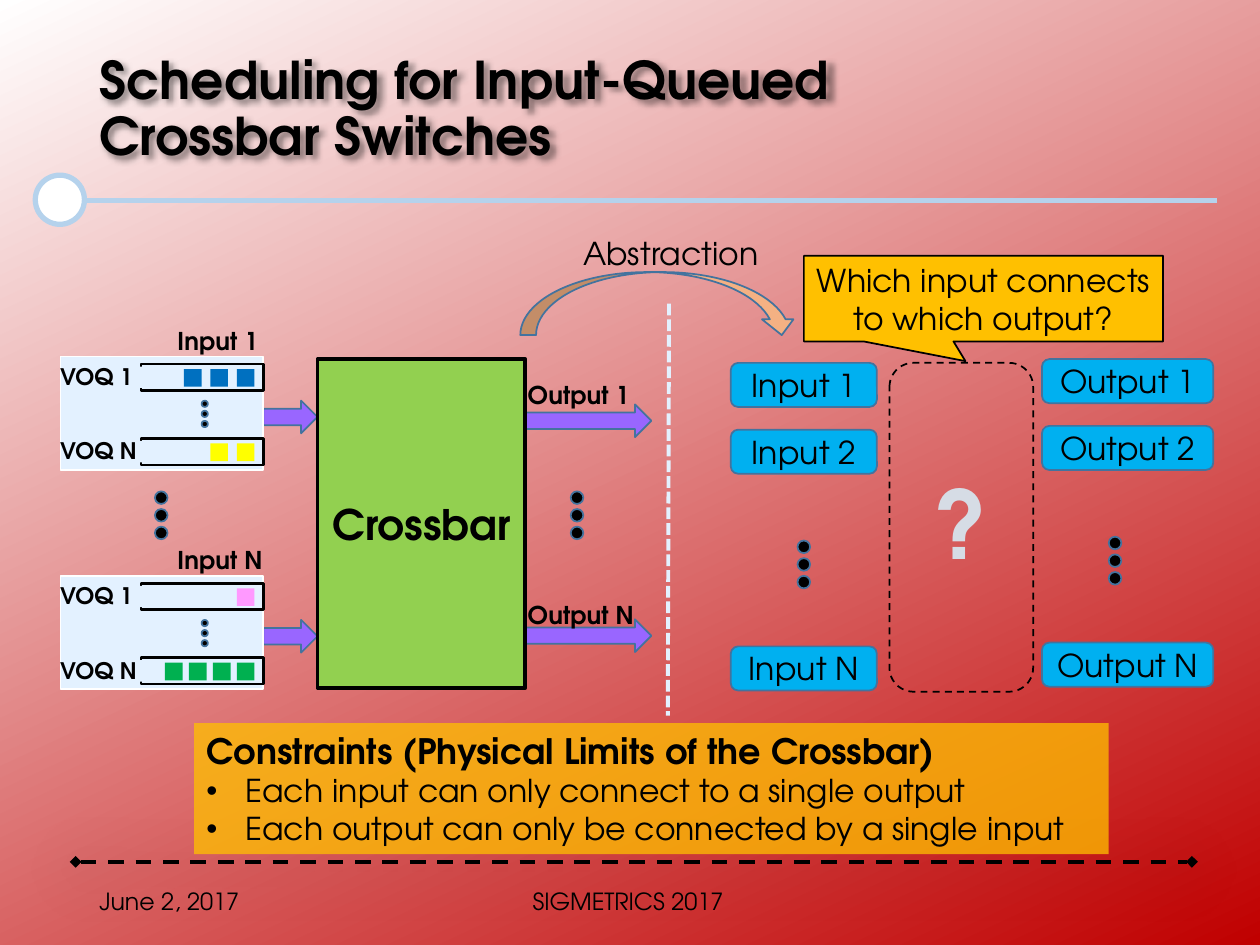
from lxml import etree
from pptx import Presentation
from pptx import util as u
from pptx.dml.color import RGBColor
from pptx.enum import dml, shapes, text
from pptx.oxml.ns import qn

FONT = "TeX Gyre Adventor"
SHAPE = shapes.MSO_SHAPE
ALIGN = text.PP_ALIGN
MIDDLE = text.MSO_ANCHOR.MIDDLE
BLUE_EDGE = "43739E"
PALE = "E3F1FF"
PURPLE = "9966FF"


def color(value):
    return RGBColor.from_string(value)


def apply(target, values):
    for name, value in values.items():
        setattr(target, name, value)


def child(parent, tag, **attributes):
    return etree.SubElement(parent, qn(tag), attributes)


def add_shadow(properties, blur, distance, angle, alpha):
    effects = child(properties, "a:effectLst")
    shadow = child(effects, "a:outerShdw", blurRad=str(u.Pt(blur)), dist=str(u.Pt(distance)),
                   dir=str(angle * 60000), algn="tl", rotWithShape="0")
    black = child(shadow, "a:srgbClr", val="000000")
    child(black, "a:alpha", val=str(alpha * 1000))


def write(paragraph, words, size, bold=False, align=ALIGN.LEFT):
    paragraph.alignment = align
    run = paragraph.add_run()
    run.text = words
    apply(run.font, {"name": FONT, "size": u.Pt(size), "bold": bold})
    run.font.color.rgb = color("000000")
    return run


def add_shape(slide, kind, box, fill=None, edge=None, width=1):
    shape = slide.shapes.add_shape(kind, *map(u.Inches, box))
    shape.shadow.inherit = False
    if fill:
        shape.fill.solid()
        shape.fill.fore_color.rgb = color(fill)
    else:
        shape.fill.background()
    if edge:
        shape.line.color.rgb = color(edge)
        shape.line.width = u.Pt(width)
    else:
        shape.line.fill.background()
    return shape


def add_label(shape, words, size, bold=False):
    apply(shape.text_frame, {"word_wrap": True, "vertical_anchor": MIDDLE})
    write(shape.text_frame.paragraphs[0], words, size, bold, ALIGN.CENTER)


def add_text(slide, box, words, size, bold=False, align=ALIGN.LEFT, wrap=False,
             anchor=text.MSO_ANCHOR.TOP):
    shape = slide.shapes.add_textbox(*map(u.Inches, box))
    frame = shape.text_frame
    apply(frame, {"word_wrap": wrap, "vertical_anchor": anchor})
    if not wrap:
        frame.auto_size = text.MSO_AUTO_SIZE.SHAPE_TO_FIT_TEXT
    write(frame.paragraphs[0], words, size, bold, align)
    return shape


def add_line(slide, ends, stroke, width, dash=None):
    line = slide.shapes.add_connector(shapes.MSO_CONNECTOR.STRAIGHT, *map(u.Inches, ends))
    line.line.color.rgb = color(stroke)
    apply(line.line, {"width": u.Pt(width), "dash_style": dash})
    return line


def add_dots(slide, left, top, size=0.1, step=0.14):
    for index in range(3):
        add_shape(slide, SHAPE.OVAL, (left, top + index * step, size, size), "000000", BLUE_EDGE)


def add_background(slide):
    fill = slide.background.fill
    fill.gradient()
    fill.gradient_angle = 295
    for stop, value, position in zip(fill.gradient_stops, ("FFFFFF", "C00000"), (0, 1)):
        stop.color.rgb = color(value)
        stop.position = position


def add_header(slide, left, top, width):
    rule = add_line(slide, (left, top + 1.19, left + width, top + 1.19), "B5D2EC", 3)
    child(rule._element.spPr, "a:effectLst")
    add_shape(slide, SHAPE.OVAL, (left - 0.41, top + 0.99, 0.39, 0.39), "FFFFFF", "B5D2EC", 3)
    title = add_text(slide, (left, top, 7.86, 1.45),
                     "Scheduling for Input-Queued Crossbar Switches", 29.7, True,
                     wrap=True, anchor=MIDDLE)
    title.text_frame.margin_bottom = u.Inches(0.54)
    title.text_frame.paragraphs[0].line_spacing = 0.9
    add_shadow(title._element.spPr, 3, 3, 45, 43)


def add_footer(slide, left, top, width):
    rule = add_line(slide, (left, top, left + width, top), "000000", 2.25, dml.MSO_LINE.DASH)
    stroke = rule.line._get_or_add_ln()
    for tag in ("a:headEnd", "a:tailEnd"):
        child(stroke, tag, type="diamond")
    add_shadow(rule._element.spPr, 36, 4, 90, 43)
    add_text(slide, (left + 0.09, top + 0.11, 2.25, 0.4), "June 2, 2017", 13.5,
             wrap=True, anchor=MIDDLE)
    add_text(slide, (left + 1.81, top + 0.11, 5.15, 0.4), "SIGMETRICS 2017", 13.5,
             align=ALIGN.CENTER, wrap=True, anchor=MIDDLE)


def add_queue(slide, left, top, cell_color, count, step):
    add_shape(slide, SHAPE.RECTANGLE, (left, top, 0.97, 0.21), PALE, "000000", 1.5)
    add_shape(slide, SHAPE.RECTANGLE, (left - 0.01, top + 0.02, 0.17, 0.17), PALE)
    for index in range(count):
        cell = (left + 0.76 - index * step, top + 0.04, 0.14, 0.14)
        add_shape(slide, SHAPE.RECTANGLE, cell, cell_color)


def add_input_port(slide, left, top, name, queues):
    add_shape(slide, SHAPE.RIGHT_ARROW, (left + 1.61, top + 0.35, 0.43, 0.26), PURPLE, BLUE_EDGE)
    add_shape(slide, SHAPE.RECTANGLE, (left, top, 1.61, 0.9), PALE, "FFFFFF")
    for index, (label, queue) in enumerate(zip(("VOQ 1", "VOQ N"), queues)):
        row = top + index * 0.59
        add_queue(slide, left + 0.64, row + 0.06, *queue)
        add_text(slide, (left - 0.1, row, 0.86, 0.32), label, 13, True)
    add_dots(slide, left + 1.12, top + 0.35, 0.05, 0.08)
    add_text(slide, (left + 0.83, top - 0.29, 0.95, 0.34), name, 14, True)


def add_switch(slide, left, top):
    ports = (("1", 0, (("0070C0", 3, 0.21), ("FFFF00", 2, 0.21))),
             ("N", 1.74, (("FF99FF", 1, 0.21), ("00B050", 4, 0.19))))
    for suffix, offset, queues in ports:
        add_input_port(slide, left, top + offset, f"Input {suffix}", queues)
        add_shape(slide, SHAPE.RIGHT_ARROW, (left + 3.69, top + 0.38 + offset * 0.98, 1, 0.26),
                  PURPLE, BLUE_EDGE)
        add_text(slide, (left + 3.61, top + 0.14 + offset, 1.1, 0.34), f"Output {suffix}",
                 14, True)
    crossbar = add_shape(slide, SHAPE.RECTANGLE, (left + 2.04, top + 0.02, 1.65, 2.61),
                         "92D050", "000000", 2.25)
    add_label(crossbar, "Crossbar", 24, True)
    for offset in (0.75, 4.05):
        add_dots(slide, left + offset, top + 1.07)


def add_ports(slide, left, top, width, name):
    for suffix, offset in (("1", 0), ("2", 0.53), ("N", 2.25)):
        port = add_shape(slide, SHAPE.ROUNDED_RECTANGLE, (left, top + offset, width, 0.35),
                         "00B0F0", BLUE_EDGE)
        add_label(port, f"{name} {suffix}", 18)
    add_dots(slide, left + 0.53, top + 1.41)


def add_abstraction(slide, left, top):
    divider = add_line(slide, (left - 0.49, top - 0.47, left - 0.5, top + 2.8), PALE, 2.25,
                       dml.MSO_LINE.SQUARE_DOT)
    child(divider._element.spPr, "a:effectLst")
    add_ports(slide, left, top, 1.16, "Input")
    add_ports(slide, left + 2.47, top - 0.03, 1.36, "Output")
    unknown = add_shape(slide, SHAPE.ROUNDED_RECTANGLE, (left + 1.26, top, 1.14, 2.61),
                        edge="000000")
    unknown.line.dash_style = dml.MSO_LINE.DASH
    mark = add_text(slide, (left + 1.52, top + 0.76, 0.63, 1.01), "?", 54, True, ALIGN.CENTER)
    font = mark.text_frame.paragraphs[0].runs[0].font
    font.fill.patterned()
    font.fill.pattern = dml.MSO_PATTERN.DARK_UPWARD_DIAGONAL
    font.fill.fore_color.rgb = color("44546A")
    font.fill.back_color.rgb = color("D6DCE5")
    outline = child(font._element, "a:ln", w=str(u.Pt(1)))
    child(child(outline, "a:solidFill"), "a:srgbClr", val="333F50")
    font._element.insert(0, outline)
    callout = add_shape(slide, SHAPE.RECTANGULAR_CALLOUT, (left + 0.58, top - 0.85, 2.85, 0.68),
                        "FFC000", "000000")
    callout.adjustments[0], callout.adjustments[1] = -0.05, 0.73
    add_label(callout, "Which input connects to which output?", 18)
    add_shape(slide, SHAPE.CURVED_DOWN_ARROW, (left - 1.67, top - 0.72, 2.2, 0.5),
              "F4B183", BLUE_EDGE)
    add_text(slide, (left - 1.27, top - 1.07, 1.61, 0.4), "Abstraction", 18)


def add_constraints(slide, box):
    panel = add_shape(slide, SHAPE.RECTANGLE, box, "FFC000")
    child(panel.fill._xPr.find(qn("a:solidFill"))[0], "a:alpha", val="75000")
    frame = panel.text_frame
    apply(frame, {"word_wrap": True, "vertical_anchor": text.MSO_ANCHOR.TOP,
                  "auto_size": text.MSO_AUTO_SIZE.SHAPE_TO_FIT_TEXT})
    write(frame.paragraphs[0], "Constraints (Physical Limits of the Crossbar)", 20, True)
    for words in ("Each input can only connect to a single output",
                  "Each output can only be connected by a single input"):
        paragraph = frame.add_paragraph()
        write(paragraph, words, 18)
        properties = paragraph._p.get_or_add_pPr()
        properties.set("marL", str(u.Inches(0.31)))
        properties.set("indent", str(-u.Inches(0.31)))
        child(properties, "a:buFont", typeface="Arial")
        child(properties, "a:buChar", char="•")


def main():
    presentation = Presentation()
    apply(presentation, {"slide_width": u.Inches(10), "slide_height": u.Inches(7.5)})
    slide = presentation.slides.add_slide(presentation.slide_layouts[6])
    add_background(slide)
    add_header(slide, 0.69, 0.4, 8.97)
    add_footer(slide, 0.6, 6.84, 8.86)
    add_abstraction(slide, 5.8, 2.88)
    add_constraints(slide, (1.54, 5.74, 7.26, 1.04))
    add_switch(slide, 0.48, 2.83)
    presentation.save("out.pptx")


if __name__ == "__main__":
    main()
